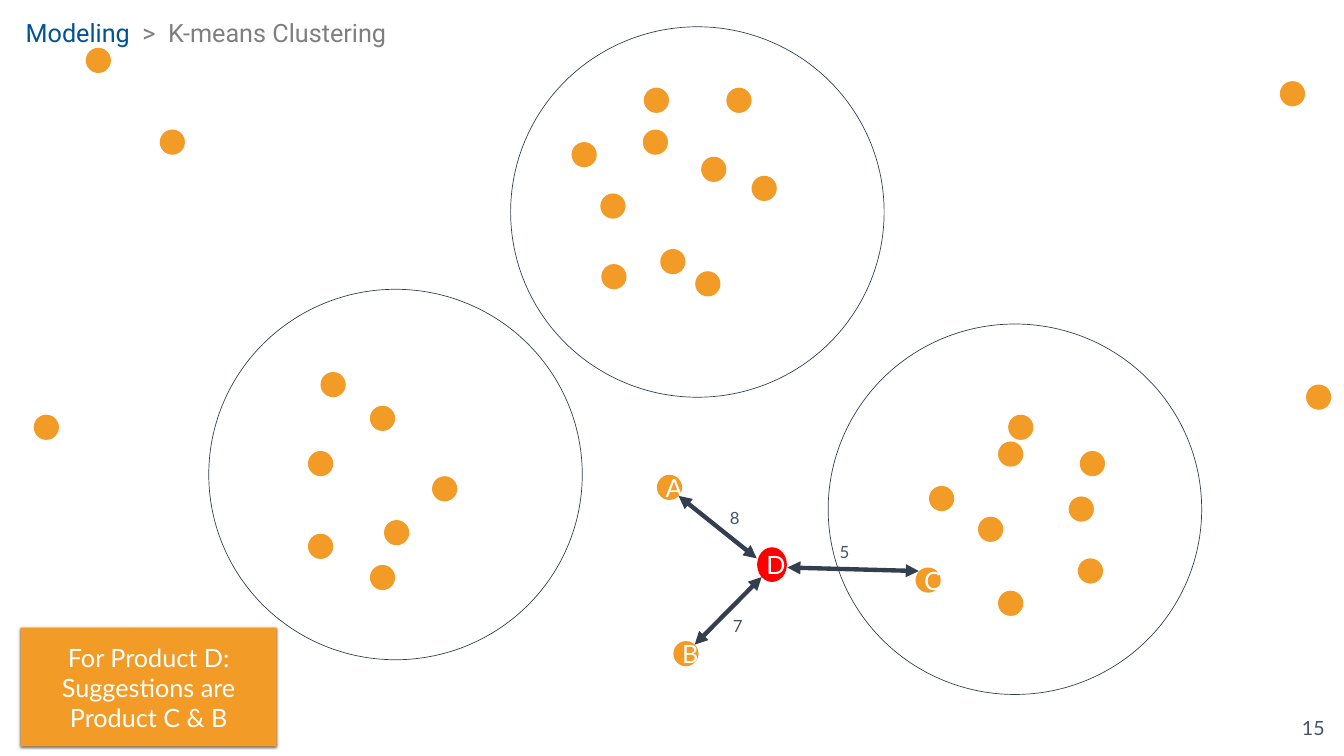
"""Build the K-means clustering slide."""
from dataclasses import dataclass
from typing import NamedTuple

from lxml.etree import SubElement
from pptx import Presentation
from pptx.dml.color import RGBColor
from pptx.enum.shapes import MSO_CONNECTOR, MSO_SHAPE
from pptx.enum.text import MSO_ANCHOR, PP_ALIGN
from pptx.oxml.ns import qn
from pptx.util import Cm, Pt


@dataclass(frozen=True)
class Theme:
    orange: str = "F29B26"
    red: str = "FF0000"
    white: str = "FFFFFF"
    navy: str = "333F4F"
    slate: str = "445469"
    blue: str = "005493"
    grey: str = "7F7F7F"
    body_font: str = "Lato"
    title_font: str = "Roboto"
    large: int = 36
    page: int = 28
    small: int = 24
    outline: float = 1
    arrow: float = 6.25


class Node(NamedTuple):
    x: float
    y: float
    text: str = ""
    w: float = 1.27
    h: float = 1.27
    fill: str = Theme.orange


class Cluster(NamedTuple):
    x: float
    y: float
    dots: list[tuple[float, float]]


class Distance(NamedTuple):
    start: tuple[float, float]
    end: tuple[float, float]
    text: str
    label: tuple[float, float]


THEME = Theme()
CLUSTER_SIZE = (18.82, 18.67)

CLUSTERS = [
    Cluster(25.73, 1.35, [
        (32.39, 6.53), (30.25, 9.75), (32.44, 4.42), (37.87, 8.86), (28.8, 7.16),
        (33.27, 12.55), (35.33, 7.9), (35.03, 13.67), (30.3, 13.31), (36.6, 4.42)]),
    Cluster(10.52, 14.58, [
        (16.15, 18.75), (18.64, 20.45), (15.52, 22.73), (21.77, 24),
        (19.35, 26.21), (15.52, 26.9), (18.64, 28.47)]),
    Cluster(41.73, 16.33, [
        (50.8, 20.9), (50.29, 22.25), (54.41, 22.73), (46.81, 24.49),
        (49.28, 26.04), (53.85, 25.02), (54.31, 28.14), (50.29, 29.77)]),
]
OUTLIERS = [(64.49, 4.09), (65.81, 19.38), (1.7, 20.9), (8.05, 6.53), (4.32, 2.41)]
PRODUCTS = [
    Node(33.1, 23.93, "A"),
    Node(33.93, 32.31, "B"),
    Node(46.13, 28.6, "C"),
    Node(38.15, 27.58, "D", 1.5, 1.75, THEME.red),
]
DISTANCES = [
    Distance((39.67, 28.6), (46.3, 28.78), "5", (42.06, 27.2)),
    Distance((34.19, 24.99), (38.13, 28.14), "8", (36.53, 25.45)),
    Distance((38.38, 29.08), (35, 32.49), "7", (36.68, 30.89)),
]


def style_run(r, size: float, color: str, font: str = THEME.body_font) -> None:
    r.font.size = Pt(size)
    r.font.name = font
    r.font.color.rgb = RGBColor.from_string(color)


def add_shape(s, kind, x: float, y: float, w: float, h: float, fill: str,
              line: str = "", text: str = ""):
    sp = s.shapes.add_shape(kind, Cm(x), Cm(y), Cm(w), Cm(h))
    sp.shadow.inherit = False
    sp.fill.solid()
    sp.fill.fore_color.rgb = RGBColor.from_string(fill)
    if line:
        sp.line.color.rgb = RGBColor.from_string(line)
        sp.line.width = Pt(THEME.outline)
    else:
        sp.line.fill.background()
    if text:
        tf = sp.text_frame
        tf.text = text
        tf.vertical_anchor = MSO_ANCHOR.MIDDLE
        p = tf.paragraphs[0]
        p.alignment = PP_ALIGN.CENTER
        style_run(p.runs[0], THEME.large, THEME.white)
    return sp


def add_node(s, node: Node) -> None:
    add_shape(s, MSO_SHAPE.OVAL, node.x, node.y, node.w, node.h, node.fill, text=node.text)


def add_label(s, x: float, y: float, w: float, h: float, text: str, size: float) -> None:
    tf = s.shapes.add_textbox(Cm(x), Cm(y), Cm(w), Cm(h)).text_frame
    tf.word_wrap = True
    tf.text = text
    style_run(tf.paragraphs[0].runs[0], size, THEME.slate)


def add_distance(s, d: Distance) -> None:
    c = s.shapes.add_connector(MSO_CONNECTOR.STRAIGHT, *map(Cm, d.start + d.end))
    c.line.color.rgb = RGBColor.from_string(THEME.navy)
    c.line.width = Pt(THEME.arrow)
    ln = c.line._get_or_add_ln()
    for end in ("a:headEnd", "a:tailEnd"):
        SubElement(ln, qn(end), type="triangle")
    SubElement(c._element.spPr, qn("a:effectLst"))
    add_label(s, *d.label, 1.73, 1.2, d.text, THEME.small)


def add_shadow(sp) -> None:
    effects = sp._element.spPr.find(qn("a:effectLst"))
    shadow = SubElement(effects, qn("a:outerShdw"), blurRad=str(Pt(4.5)),
                        dist=str(Pt(1.5)), dir="5400000", rotWithShape="0")
    color = SubElement(shadow, qn("a:srgbClr"), val="000000")
    SubElement(color, qn("a:alpha"), val="63000")


def set_title(s) -> None:
    sp = s.shapes.title
    sp.left, sp.top, sp.width, sp.height = Cm(1.04), Cm(0.74), Cm(22.2), Cm(3.33)
    tf = sp.text_frame
    tf.text = "Modeling "
    tf.vertical_anchor = MSO_ANCHOR.TOP
    p = tf.paragraphs[0]
    p.alignment = PP_ALIGN.LEFT
    p.add_run().text = " >  K-means Clustering"
    for r, color in zip(p.runs, (THEME.blue, THEME.grey)):
        style_run(r, THEME.large, color, THEME.title_font)


def main() -> None:
    prs = Presentation()
    prs.slide_width, prs.slide_height = Cm(67.72), Cm(38.1)
    s = prs.slides.add_slide(prs.slide_layouts[5])
    set_title(s)
    for cluster in CLUSTERS:
        add_shape(s, MSO_SHAPE.OVAL, cluster.x, cluster.y, *CLUSTER_SIZE,
                  THEME.white, THEME.navy)
    for cluster in CLUSTERS:
        for dot in cluster.dots:
            add_node(s, Node(*dot))
    for dot in OUTLIERS:
        add_node(s, Node(*dot))
    for product in PRODUCTS:
        add_node(s, product)
    for distance in DISTANCES:
        add_distance(s, distance)
    add_shadow(add_shape(s, MSO_SHAPE.RECTANGLE, 1.04, 31.65, 12.9, 5.97, THEME.orange,
                         text="For Product D: Suggestions are Product C & B"))
    add_label(s, 65.35, 35.97, 2.3, 1.45, "15", THEME.page)
    prs.save("out.pptx")


if __name__ == "__main__":
    main()
